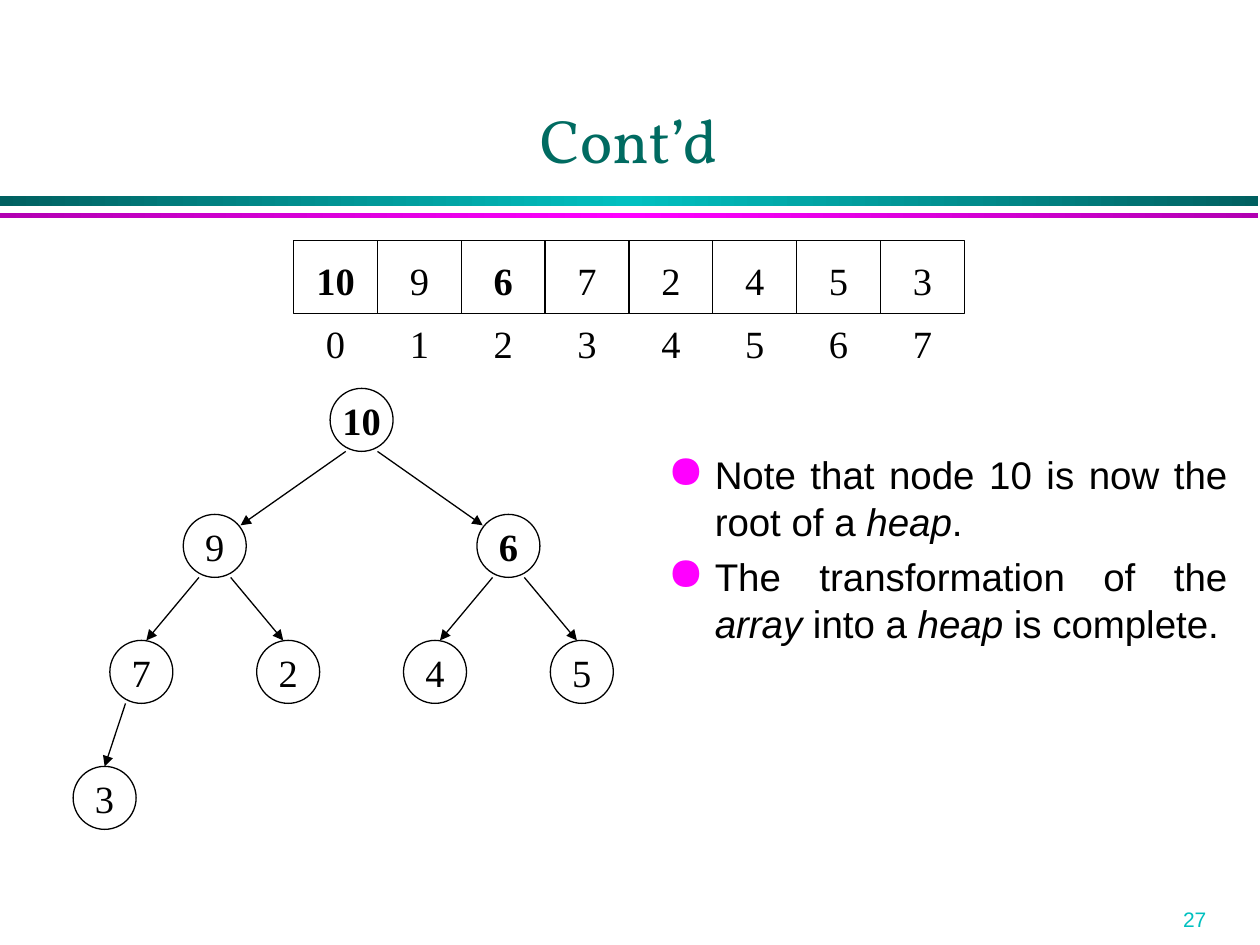
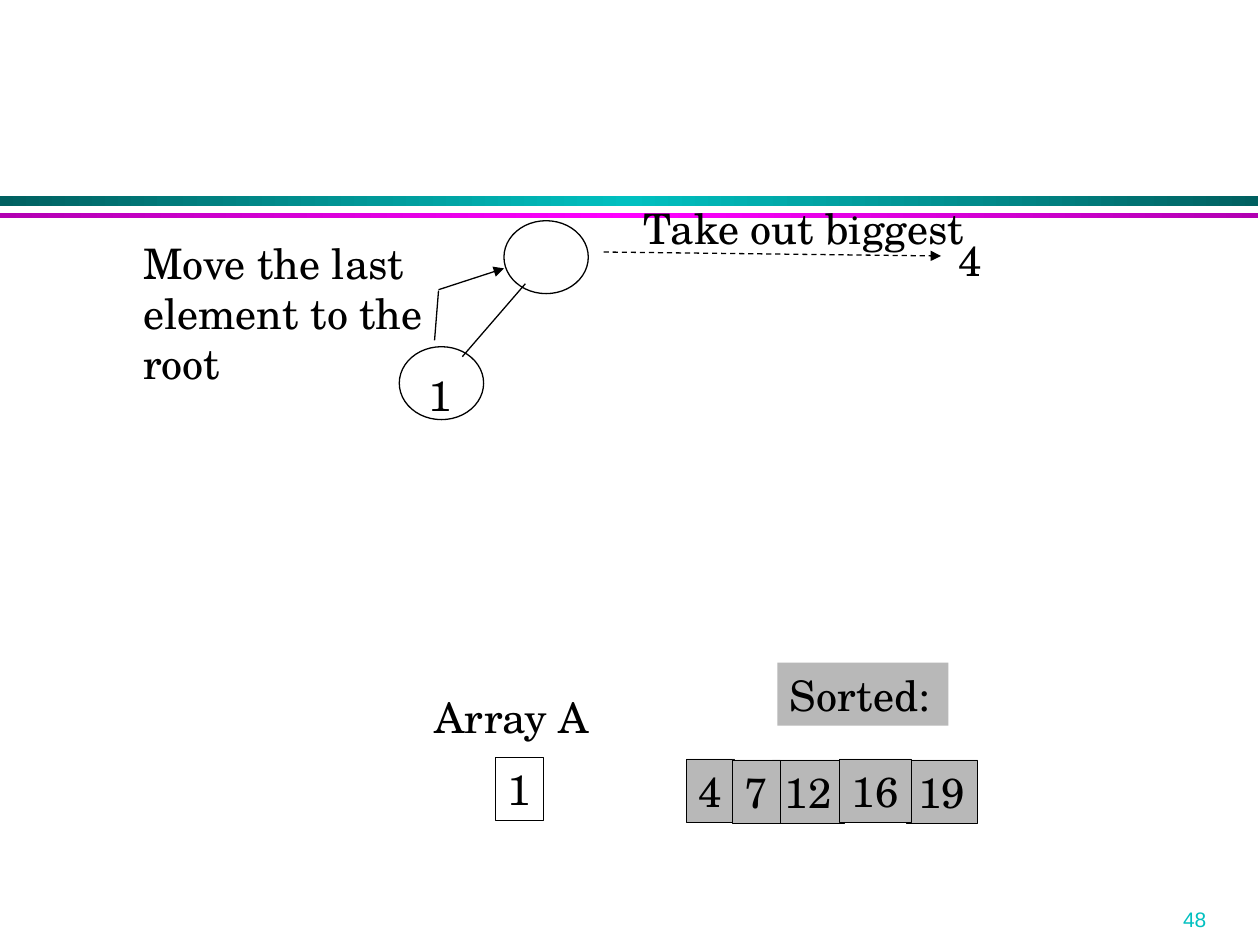
from copy import deepcopy
from dataclasses import dataclass
from typing import Optional

from lxml import etree
from pptx import Presentation
from pptx import util as u
from pptx.dml.color import RGBColor
from pptx.enum import dml, shapes, text
from pptx.oxml.ns import qn

COLORS = {
    "ink": "000000",
    "title": "006B61",
    "number": "00C0C0",
    "bullet": "FF00FF",
    "sorted": "B8B8B8",
    "teal_edge": "006060",
    "teal_mid": "00C0C0",
    "magenta_edge": "B200B2",
    "magenta_mid": "FF00FF",
}
ALIGN = text.PP_ALIGN
ANCHOR = text.MSO_ANCHOR
SHAPE = shapes.MSO_SHAPE

HEAP = (10, 9, 6, 7, 2, 4, 5, 3)
MOVED = {10, 6}
NODE_SIZE = 1.27
ROOT_X, ROOT_Y = 7.29, 7.83
LEVEL_GAP = 2.54
BRANCH = 5.92
DEPARTURE = 0.32
ARRIVALS = {1: (0.52, 0.22), 2: (0.1, 0), 3: (0, 0)}
CELL_LEFT, CELL_PITCH = 5.92, 1.69


@dataclass(frozen=True)
class Style:
    font: str
    size: float
    color: str = "ink"
    bold: bool = False
    align: ALIGN = ALIGN.LEFT
    anchor: ANCHOR = ANCHOR.TOP
    side: float = 0.25
    top: float = 0.13
    bottom: float = 0.13


@dataclass(frozen=True)
class Box:
    left: float
    top: float
    width: float
    height: float

    def lengths(self) -> tuple:
        return tuple(u.Cm(v) for v in (self.left, self.top, self.width, self.height))


@dataclass(frozen=True)
class Band:
    box: Box
    edge: str
    middle: str


@dataclass(frozen=True)
class Link:
    start: tuple
    end: tuple
    arrow: bool = True
    dashed: bool = False


@dataclass(frozen=True)
class SortedCell:
    value: str
    box: Box


@dataclass(frozen=True)
class Caption:
    lines: tuple
    box: Box


BANDS = (
    Band(Box(0, 3.96, 25.37, 0.2), "teal_edge", "teal_mid"),
    Band(Box(0, 4.29, 25.37, 0.1), "magenta_edge", "magenta_mid"),
)
TITLE = Style("Vollkorn", 35, "title", align=ALIGN.CENTER, anchor=ANCHOR.BOTTOM)
NUMBER = Style("Arial", 12, "number")
BODY = Style("Arial", 22, align=ALIGN.JUSTIFY)
SCHOLA = Style("TeX Gyre Schola", 24)
SCHOLA_CELL = Style("TeX Gyre Schola", 24, align=ALIGN.CENTER, side=0)


def times(bold: bool = False, top: float = 0, bottom: float = 0) -> Style:
    return Style("Times New Roman", 22, bold=bold, align=ALIGN.CENTER,
                 anchor=ANCHOR.MIDDLE, side=0, top=top, bottom=bottom)


def rgb(name: str) -> RGBColor:
    return RGBColor.from_string(COLORS[name])


def add_bullet(paragraph) -> None:
    properties = paragraph._p.get_or_add_pPr()
    properties.set("marL", str(u.Cm(0.95)))
    properties.set("indent", str(u.Cm(-0.95)))
    color = etree.SubElement(properties, qn("a:buClr"))
    etree.SubElement(color, qn("a:srgbClr"), val=COLORS["bullet"])
    etree.SubElement(properties, qn("a:buSzPct"), val="120000")
    etree.SubElement(properties, qn("a:buChar"), char="●")


def write(shape, lines: tuple, style: Style, bulleted: bool = False) -> None:
    frame = shape.text_frame
    frame.word_wrap = True
    frame.vertical_anchor = style.anchor
    frame.margin_left = frame.margin_right = u.Cm(style.side)
    frame.margin_top = u.Cm(style.top)
    frame.margin_bottom = u.Cm(style.bottom)
    for index, line in enumerate(lines):
        paragraph = frame.add_paragraph() if index else frame.paragraphs[0]
        for position, part in enumerate(line.split("*")):
            run = paragraph.add_run()
            run.text = part
            if position % 2:
                run.font.italic = True
        if bulleted:
            add_bullet(paragraph)
            if index:
                paragraph.space_before = u.Pt(5.5)
        paragraph.alignment = style.align
        font = paragraph.font
        font.name, font.size, font.bold = style.font, u.Pt(style.size), style.bold
        font.color.rgb = rgb(style.color)


def add_label(slide, box: Box, lines: tuple, style: Style, bulleted: bool = False) -> None:
    write(slide.shapes.add_textbox(*box.lengths()), lines, style, bulleted)


def add_figure(slide, kind: SHAPE, box: Box, fill: Optional[str] = None,
               outline: Optional[float] = 0.75):
    figure = slide.shapes.add_shape(kind, *box.lengths())
    figure.shadow.inherit = False
    if fill:
        figure.fill.solid()
        figure.fill.fore_color.rgb = rgb(fill)
    else:
        figure.fill.background()
    if outline:
        figure.line.color.rgb = rgb("ink")
        figure.line.width = u.Pt(outline)
    else:
        figure.line.fill.background()
    return figure


def add_band(slide, band: Band) -> None:
    stripe = add_figure(slide, SHAPE.RECTANGLE, band.box, outline=None)
    stripe.fill.gradient()
    stripe.fill.gradient_angle = 0
    stops = stripe.element.spPr.find(qn("a:gradFill")).find(qn("a:gsLst"))
    stops.insert(1, deepcopy(stops[0]))
    for stop, position, color in zip(stripe.fill.gradient_stops, (0, 0.5, 1),
                                     (band.edge, band.middle, band.edge)):
        stop.position = position
        stop.color.rgb = rgb(color)


def add_link(slide, link: Link) -> None:
    ends = (u.Cm(v) for v in (*link.start, *link.end))
    connector = slide.shapes.add_connector(shapes.MSO_CONNECTOR.STRAIGHT, *ends)
    connector.line.color.rgb = rgb("ink")
    connector.line.width = u.Pt(0.75)
    if link.dashed:
        connector.line.dash_style = dml.MSO_LINE.DASH
    properties = connector.element.spPr
    if link.arrow:
        etree.SubElement(properties.find(qn("a:ln")), qn("a:tailEnd"), type="triangle")
    etree.SubElement(properties, qn("a:effectLst"))


def add_base_slide(deck, number: str):
    slide = deck.slides.add_slide(deck.slide_layouts[6])
    for band in BANDS:
        add_band(slide, band)
    add_label(slide, Box(23.6, 18.14, 1.6, 0.76), (number,), NUMBER)
    return slide


def draw_array(slide) -> None:
    for index, value in enumerate(HEAP):
        left = CELL_LEFT + index * CELL_PITCH
        cell = add_figure(slide, SHAPE.RECTANGLE, Box(left, 4.85, CELL_PITCH, 1.47))
        write(cell, (str(value),), times(value in MOVED, top=0.25, bottom=0.13))
        add_label(slide, Box(left + 0.42, 6.32, 0.85, 1.19), (str(index),),
                  times(top=0.13, bottom=0.13))


def draw_tree(slide) -> None:
    centers = []
    for index, value in enumerate(HEAP):
        level = (index + 1).bit_length() - 1
        top = ROOT_Y + level * LEVEL_GAP
        center = ROOT_X
        if index:
            parent_center = centers[(index - 1) // 2]
            side = -1 if index % 2 else 1
            center = parent_center + side * BRANCH / 2 ** level
            inset, drop = ARRIVALS[level]
            add_link(slide, Link(
                (parent_center + side * DEPARTURE, top - LEVEL_GAP + NODE_SIZE),
                (center - side * inset, top + drop)))
        centers.append(center)
        node = add_figure(slide, SHAPE.OVAL,
                          Box(center - NODE_SIZE / 2, top, NODE_SIZE, NODE_SIZE))
        write(node, (str(value),), times(value in MOVED))


def build_heap_slide(deck) -> None:
    slide = add_base_slide(deck, "27")
    add_label(slide, Box(1.88, 1.78, 21.59, 1.9), ("Cont’d",), TITLE)
    add_label(slide, Box(13.21, 8.97, 11.79, 5.13), (
        "Note that node 10 is now the root of a *heap*.",
        "The transformation of the *array* into a *heap* is complete.",
    ), BODY, bulleted=True)
    draw_tree(slide)
    draw_array(slide)


def build_sorting_slide(deck) -> None:
    slide = add_base_slide(deck, "48")
    for left, top in ((10.16, 4.45), (8.05, 6.99)):
        add_figure(slide, SHAPE.OVAL, Box(left, top, 1.7, 1.47))
    for value, left, top in (("4", 19.08, 4.6), ("1", 8.38, 7.32)):
        add_label(slide, Box(left, top, 0.97, 1.27), (value,), SCHOLA_CELL)

    sorted_cells = (
        SortedCell("19", Box(18.26, 15.32, 1.45, 1.27)),
        SortedCell("12", Box(15.57, 15.32, 1.45, 1.27)),
        SortedCell("16", Box(16.92, 15.3, 1.45, 1.27)),
        SortedCell("4", Box(13.84, 15.3, 0.97, 1.27)),
        SortedCell("7", Box(14.76, 15.32, 0.97, 1.27)),
    )
    for cell in sorted_cells:
        square = add_figure(slide, SHAPE.RECTANGLE, cell.box, "sorted", 0.25)
        write(square, (cell.value,), SCHOLA_CELL)
    remaining = add_figure(slide, SHAPE.RECTANGLE, Box(9.98, 15.27, 0.97, 1.27), outline=0.25)
    write(remaining, ("1",), SCHOLA_CELL)
    heading = add_figure(slide, SHAPE.RECTANGLE, Box(15.67, 13.36, 3.45, 1.27), "sorted", None)
    write(heading, ("Sorted:",), SCHOLA)

    for link in (
        Link((10.59, 5.72), (9.32, 7.19), arrow=False),
        Link((12.17, 5.08), (18.97, 5.16), dashed=True),
        Link((8.76, 6.86), (8.84, 5.86), arrow=False),
        Link((8.84, 5.84), (10.16, 5.41)),
    ):
        add_link(slide, link)

    for caption in (
        Caption(("Array A",), Box(8.51, 13.82, 3.63, 1.27)),
        Caption(("Move the last", "element to the", "root"), Box(2.64, 4.65, 6.38, 3.3)),
        Caption(("Take out biggest",), Box(12.73, 3.96, 6.99, 1.27)),
    ):
        add_label(slide, caption.box, caption.lines, SCHOLA)


def main() -> None:
    deck = Presentation()
    deck.slide_width, deck.slide_height = u.Cm(25.4), u.Cm(19.05)
    build_heap_slide(deck)
    build_sorting_slide(deck)
    deck.save("out.pptx")


if __name__ == "__main__":
    main()
